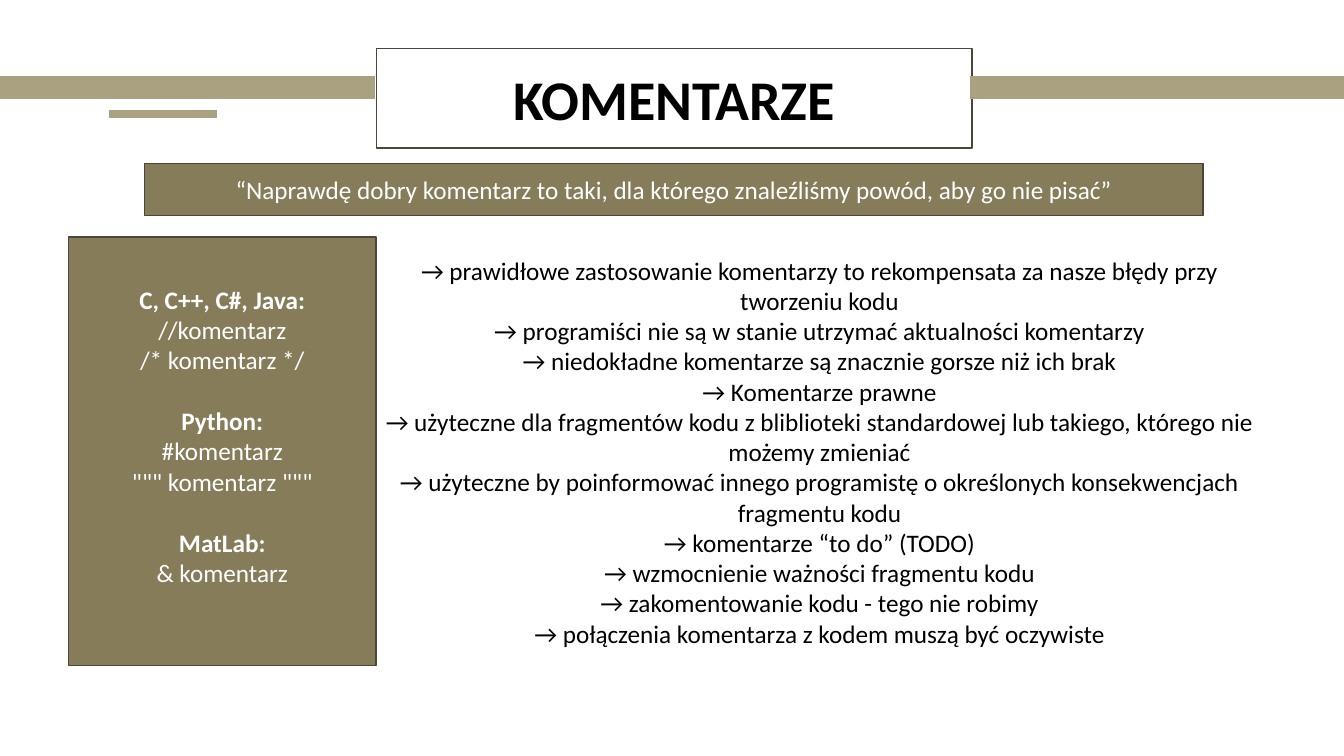
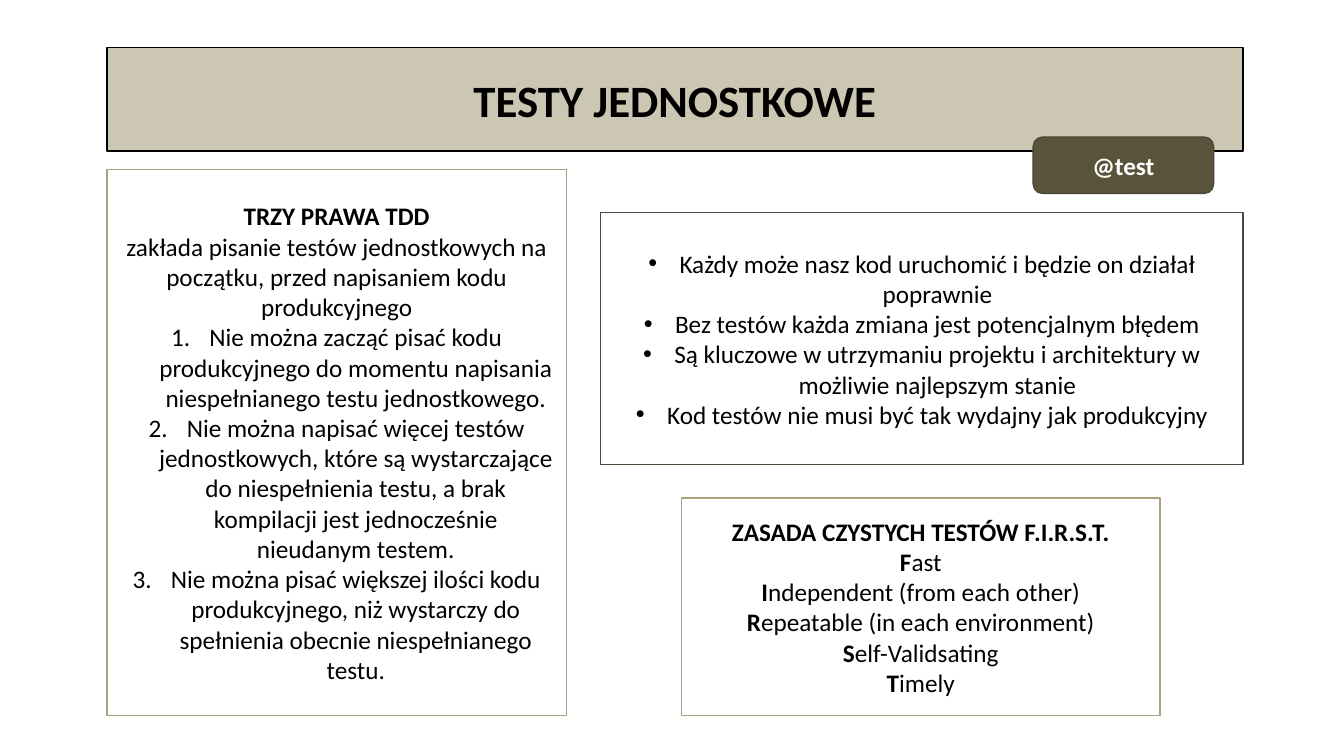
from lxml.etree import SubElement
from pptx import Presentation
from pptx.dml.color import RGBColor
from pptx.enum.shapes import MSO_CONNECTOR, MSO_SHAPE
from pptx.enum.text import MSO_ANCHOR, MSO_AUTO_SIZE, PP_ALIGN
from pptx.oxml.ns import qn
from pptx.util import Inches, Pt

COLORS = {
    "white": "FFFFFF",
    "black": "000000",
    "sand": "AAA180",
    "pale": "CCC7B3",
    "olive": "867C5A",
    "dark": "59533C",
    "edge": "4B4738",
}
FONT = "Calibri"
LINE_GAP = 22  # points, one line of body text

deck = Presentation()
deck.slide_width, deck.slide_height = Inches(13.33), Inches(7.5)
COL, ROW = deck.slide_width / 40, deck.slide_height / 30
TITLE_ONLY = deck.slide_layouts[5]


def write(shape, paragraphs, size=18, color="black", gaps=(), marker=None, marked_from=0, indent=0):
    """Fill a shape with centred text; **stars** mark bold, gaps lists paragraphs after a break."""
    frame = shape.text_frame
    frame.word_wrap = True
    frame.auto_size = MSO_AUTO_SIZE.NONE
    frame.vertical_anchor = MSO_ANCHOR.MIDDLE
    for index, text in enumerate(paragraphs):
        paragraph = frame.paragraphs[0] if index == 0 else frame.add_paragraph()
        paragraph.alignment = PP_ALIGN.CENTER
        paragraph.space_before = Pt(LINE_GAP if index in gaps else 0)
        if marker and index >= marked_from:
            props = paragraph._p.get_or_add_pPr()
            props.set("marL", str(Inches(indent)))
            props.set("indent", str(-Inches(indent)))
            if marker == "•":
                SubElement(props, qn("a:buFont"), typeface="Arial")
                SubElement(props, qn("a:buChar"), char=marker)
            else:
                SubElement(props, qn("a:buAutoNum"), type=marker)
        for part, words in enumerate(text.split("**")):
            if words:
                run = paragraph.add_run()
                run.text = words
                run.font.name, run.font.size = FONT, Pt(size)
                run.font.bold = part % 2 == 1
                run.font.color.rgb = RGBColor.from_string(COLORS[color])


def panel(slide, cells, paragraphs=(), fill="white", line="edge", kind=MSO_SHAPE.RECTANGLE,
          title=False, **text_format):
    """Place a filled, outlined panel at (column, row, columns, rows)."""
    left, top, width, height = (round(n * unit) for n, unit in zip(cells, (COL, ROW, COL, ROW)))
    if title:
        shape = slide.shapes.title
        shape.left, shape.top, shape.width, shape.height = left, top, width, height
    else:
        shape = slide.shapes.add_shape(kind, left, top, width, height)
    shape.shadow.inherit = False
    shape.fill.solid()
    shape.fill.fore_color.rgb = RGBColor.from_string(COLORS[fill])
    shape.line.color.rgb = RGBColor.from_string(COLORS[line])
    shape.line.width = Pt(1)
    write(shape, paragraphs, **text_format)
    return shape


# Comments
comments = deck.slides.add_slide(TITLE_ONLY)
panel(comments, (11.2, 1.92, 17.73, 3.96), ["**KOMENTARZE**"], title=True, size=40)

accent_row = round(4.52 * ROW)
accent = comments.shapes.add_connector(
    MSO_CONNECTOR.STRAIGHT, round(3.24 * COL), accent_row, round(6.45 * COL), accent_row)
accent.line.color.rgb = RGBColor.from_string(COLORS["sand"])
accent.line.width = Pt(6)
SubElement(accent._element.spPr, qn("a:effectLst"))

for band_left in (0.03, 28.88):
    panel(comments, (band_left, 3.04, 11.12, 0.88), fill="sand", line="sand")

panel(comments, (11.16, 9.4, 26.46, 17.04), [
    "→ prawidłowe zastosowanie komentarzy to rekompensata za nasze błędy przy tworzeniu kodu",
    "→ programiści nie są w stanie utrzymać aktualności komentarzy",
    "→ niedokładne komentarze są znacznie gorsze niż ich brak",
    "→ Komentarze prawne",
    "→ użyteczne dla fragmentów kodu z bliblioteki standardowej lub takiego, którego nie możemy zmieniać",
    "→ użyteczne by poinformować innego programistę o określonych konsekwencjach fragmentu kodu",
    "→ komentarze “to do” (TODO)",
    "→ wzmocnienie ważności fragmentu kodu",
    "→ zakomentowanie kodu - tego nie robimy",
    "→ połączenia komentarza z kodem muszą być oczywiste",
], line="white")

panel(comments, (4.3, 6.48, 31.5, 2.08), [
    "“Naprawdę dobry komentarz to taki, dla którego znaleźliśmy powód, aby go nie pisać”",
], fill="olive", color="white")

syntax = panel(comments, (2.04, 9.4, 9.15, 17), [
    "**C, C++, C#, Java:**",
    "//komentarz",
    "/* komentarz */",
    "**Python:**",
    "#komentarz",
    '""" komentarz """',
    "**MatLab:**",
    "& komentarz",
], fill="olive", color="white", gaps=(3, 6))
syntax.text_frame.margin_bottom = Inches(0.05) + Pt(LINE_GAP)

# Unit tests
LEFT, RIGHT, BOTTOM = 3.18, 36.99, 28.4
tests = deck.slides.add_slide(TITLE_ONLY)
panel(tests, (LEFT, 1.88, RIGHT - LEFT, 4.12), ["**TESTY JEDNOSTKOWE**"],
      fill="pale", line="black", title=True, size=32)
panel(tests, (30.75, 5.44, 5.37, 2.24), ["**@test**"], fill="dark", color="white",
      kind=MSO_SHAPE.ROUNDED_RECTANGLE)

laws_top = 6.72
panel(tests, (LEFT, laws_top, 13.68, BOTTOM - laws_top), [
    "**TRZY PRAWA TDD**",
    "zakłada pisanie testów jednostkowych na początku, przed napisaniem kodu produkcyjnego",
    "Nie można zacząć pisać kodu produkcyjnego do momentu napisania niespełnianego testu jednostkowego.",
    "Nie można napisać więcej testów jednostkowych, które są wystarczające do niespełnienia testu, "
    "a brak kompilacji jest jednocześnie nieudanym testem.",
    "Nie można pisać większej ilości kodu produkcyjnego, niż wystarczy do spełnienia obecnie "
    "niespełnianego testu.",
], line="sand", marker="arabicPeriod", marked_from=2, indent=0.38)

first_top = 19.76
panel(tests, (20.28, first_top, 14.25, BOTTOM - first_top), [
    "**ZASADA CZYSTYCH TESTÓW F.I.R.S.T.**",
    "**F**ast",
    "**I**ndependent (from each other)",
    "**R**epeatable (in each environment)",
    "**S**elf-Validsating",
    "**T**imely",
], line="sand")

benefits_left = 17.88
panel(tests, (benefits_left, 8.44, RIGHT - benefits_left, 10), [
    "Każdy może nasz kod uruchomić i będzie on działał poprawnie",
    "Bez testów każda zmiana jest potencjalnym błędem",
    "Są kluczowe w utrzymaniu projektu i architektury w możliwie najlepszym stanie",
    "Kod testów nie musi być tak wydajny jak produkcyjny",
], marker="•", indent=0.31)

deck.save("out.pptx")
